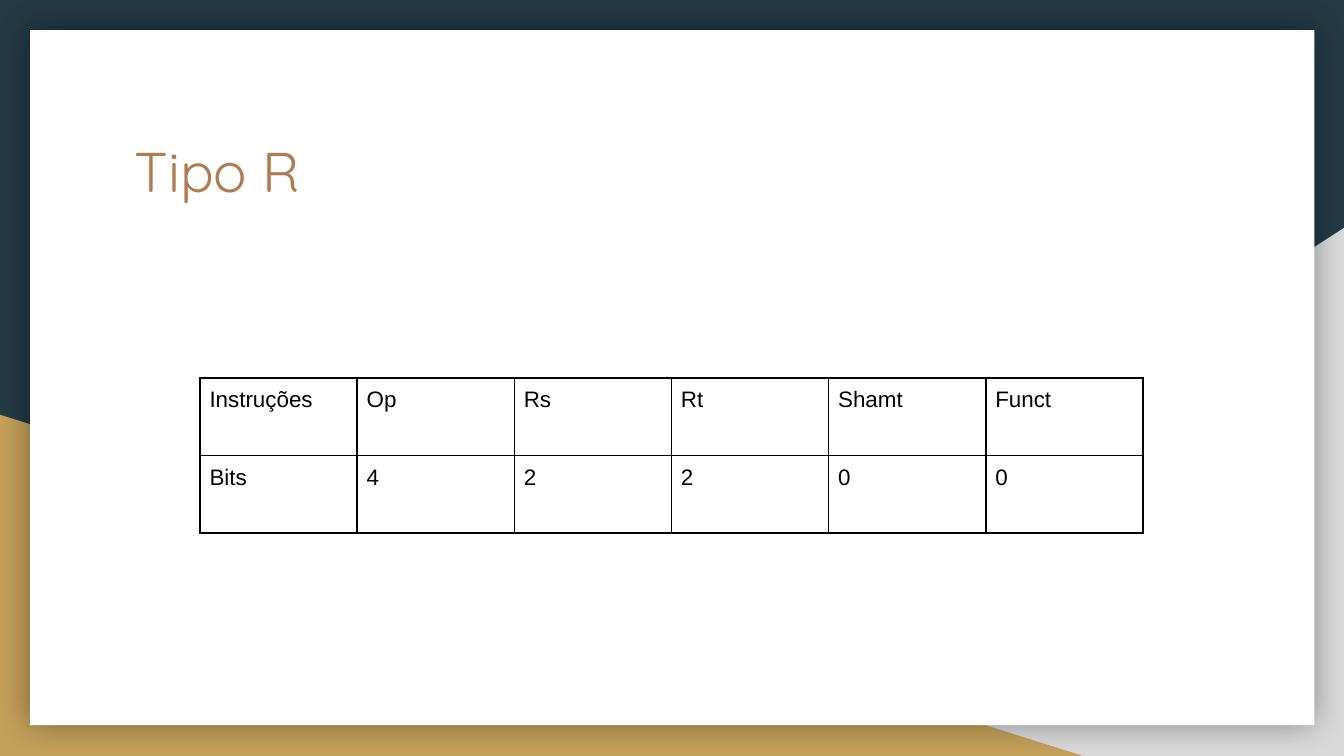
from dataclasses import dataclass

from lxml.etree import SubElement
from pptx import Presentation
from pptx.dml.color import RGBColor
from pptx.enum.shapes import MSO_SHAPE
from pptx.enum.text import MSO_ANCHOR, PP_ALIGN
from pptx.oxml import parse_xml
from pptx.oxml.ns import nsdecls, qn
from pptx.util import Cm, Pt

NAVY = RGBColor(0x23, 0x3A, 0x44)
GREY = RGBColor(0xD9, 0xD9, 0xD9)
GOLD = RGBColor(0xC4, 0xA1, 0x5A)
WHITE = RGBColor(0xFF, 0xFF, 0xFF)
COPPER = RGBColor(0xAF, 0x7B, 0x51)
BLACK = RGBColor(0x00, 0x00, 0x00)

INSTRUCTION_FIELDS = [
    ["Instruções", "Op", "Rs", "Rt", "Shamt", "Funct"],
    ["Bits", "4", "2", "2", "0", "0"],
]
COLUMN_WIDTH = Cm(2.97)
ROW_HEIGHT = Cm(1.47)
CELL_INSET = Cm(0.18)


@dataclass(frozen=True)
class Panel:
    """A plain background shape, with lengths in centimetres."""
    preset: MSO_SHAPE
    left: float
    top: float
    width: float
    height: float
    color: RGBColor
    flipped: bool = False
    shadowed: bool = False


PANELS = [
    Panel(MSO_SHAPE.RIGHT_TRIANGLE, 9.96, 4.31, 15.44, 9.98, GREY, flipped=True),
    Panel(MSO_SHAPE.RIGHT_TRIANGLE, 0, 7.84, 20.47, 6.45, GOLD),
    Panel(MSO_SHAPE.RECTANGLE, 0.57, 0.57, 24.27, 13.14, WHITE, shadowed=True),
]


def add_panel(slide, panel: Panel) -> None:
    shape = slide.shapes.add_shape(
        panel.preset, Cm(panel.left), Cm(panel.top), Cm(panel.width), Cm(panel.height)
    )
    shape.fill.solid()
    shape.fill.fore_color.rgb = panel.color
    shape.line.fill.background()
    shape.shadow.inherit = False
    properties = shape._element.spPr
    if panel.flipped:
        properties.get_or_add_xfrm().set("flipH", "1")
    if panel.shadowed:
        properties.find(qn("a:effectLst")).append(parse_xml(
            f'<a:outerShdw {nsdecls("a")} blurRad="{Pt(18)}" dist="0" dir="0" '
            'algn="ctr" rotWithShape="0"><a:srgbClr val="000000">'
            '<a:alpha val="40000"/></a:srgbClr></a:outerShdw>'
        ))


def add_run(paragraph, wording: str, font_name: str, size: int, color: RGBColor) -> None:
    run = paragraph.add_run()
    run.text = wording
    run.font.name = font_name
    run.font.size = Pt(size)
    run.font.color.rgb = color


def place_title(slide, wording: str) -> None:
    title = slide.shapes.title
    title.left, title.top, title.width, title.height = Cm(2.29), Cm(2.34), Cm(20.85), Cm(2.64)
    frame = title.text_frame
    frame.margin_left = frame.margin_right = Cm(0.25)
    frame.margin_top = frame.margin_bottom = Cm(0.25)
    frame.vertical_anchor = MSO_ANCHOR.TOP
    frame.word_wrap = True
    heading = frame.paragraphs[0]
    heading.alignment = PP_ALIGN.LEFT
    add_run(heading, wording, "Quicksand", 30, COPPER)
    # The placeholder comes first in the tree, so bring it above the panels.
    slide.shapes._spTree.append(title._element)


def outline_cell(cell) -> None:
    properties = cell._tc.get_or_add_tcPr()
    for position, side in enumerate(("a:lnL", "a:lnR", "a:lnT", "a:lnB")):
        border = SubElement(properties, qn(side), w=str(Pt(1)))
        fill = SubElement(border, qn("a:solidFill"))
        SubElement(fill, qn("a:srgbClr"), val=str(BLACK))
        properties.insert(position, border)


def add_field_table(slide, rows: list[list[str]]) -> None:
    column_count = len(rows[0])
    table = slide.shapes.add_table(
        len(rows), column_count, Cm(3.78), Cm(7.14),
        COLUMN_WIDTH * column_count, ROW_HEIGHT * len(rows),
    ).table
    table.first_row = table.horz_banding = False
    for column in table.columns:
        column.width = COLUMN_WIDTH
    for row, wordings in zip(table.rows, rows):
        row.height = ROW_HEIGHT
        for cell, wording in zip(row.cells, wordings):
            cell.fill.background()
            cell.margin_left = cell.margin_right = CELL_INSET
            cell.margin_top = cell.margin_bottom = CELL_INSET
            add_run(cell.text_frame.paragraphs[0], wording, "Arial", 12, BLACK)
            outline_cell(cell)


def main() -> None:
    presentation = Presentation()
    presentation.slide_width = Cm(25.4)
    presentation.slide_height = Cm(14.29)
    title_only = presentation.slide_layouts[5]
    slide = presentation.slides.add_slide(title_only)
    slide.background.fill.solid()
    slide.background.fill.fore_color.rgb = NAVY
    for panel in PANELS:
        add_panel(slide, panel)
    place_title(slide, "Tipo R")
    add_field_table(slide, INSTRUCTION_FIELDS)
    presentation.save("out.pptx")


if __name__ == "__main__":
    main()
